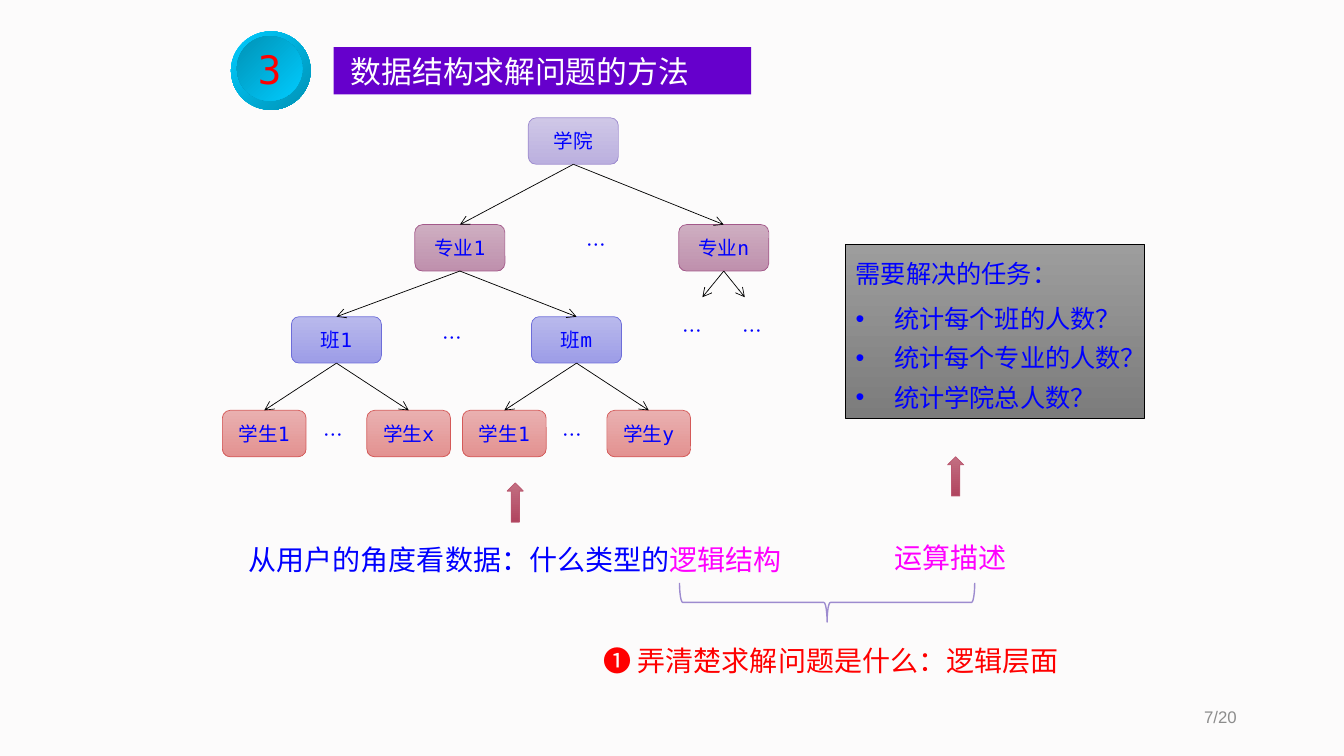
from pptx import Presentation
from pptx import util as u
from pptx.dml import color as dml
from pptx.enum import shapes, text
from pptx.oxml import ns
from lxml import etree

CJK, MONO = "Noto Sans CJK SC", "DejaVu Sans Mono"
COLORS = {
    "page": "FCFBFB", "banner": "6600CC", "white": "FFFFFF", "black": "000000",
    "blue": "0000FF", "red": "FF0000", "magenta": "FF00FF", "grey": "8C8C8C",
    "brace": "9D8BCF", "cyan": "00CCFF", "teal": "0092B6",
}
# Gradient start, gradient end and outline
GRADIENTS = {
    "college": ("CFC7E7", "BB B0DF".replace(" ", ""), "9D8BCF"),
    "major": ("CEAEC1", "BF90AD", "A3598A"),
    "class": ("B9B9EC", "9D9DE7", "6D6DD9"),
    "student": ("E9B0B0", "E39291", "D45958"),
    "task": ("9D9D9D", "7C7C7C", "000000"),
    "arrow": ("C36F82", "B0455F", "BB5971"),
    "rim": (COLORS["cyan"], COLORS["teal"], None),
    "dial": (COLORS["teal"], COLORS["cyan"], None),
}
LEFT, CENTER, RIGHT = text.PP_ALIGN.LEFT, text.PP_ALIGN.CENTER, text.PP_ALIGN.RIGHT
TOP, MIDDLE = text.MSO_ANCHOR.TOP, text.MSO_ANCHOR.MIDDLE


def write(box, lines, size, font=CJK, align=LEFT, anchor=TOP, **frame_format):
    """Each line is a list of (words, colour name) spans."""
    frame = box.text_frame
    frame_format = {"word_wrap": True, "auto_size": text.MSO_AUTO_SIZE.NONE,
                    "vertical_anchor": anchor, **frame_format}
    for name, value in frame_format.items():
        setattr(frame, name, value)
    for number, line in enumerate(lines):
        para = frame.add_paragraph() if number else frame.paragraphs[0]
        para.alignment = align
        for words, color in line:
            span = para.add_run()
            span.text = words
            for name, value in {"size": u.Pt(size), "name": font, "bold": False}.items():
                setattr(span.font, name, value)
            span.font.color.rgb = dml.RGBColor.from_string(COLORS[color])
            east = etree.SubElement(span.font._element, ns.qn("a:ea"))
            east.set("typeface", CJK)


def paint(shape, style, angle=270):
    start, end, outline = GRADIENTS[style]
    shape.fill.gradient()
    shape.fill.gradient_angle = angle
    for stop, value in zip(shape.fill.gradient_stops, (start, end)):
        stop.color.rgb = dml.RGBColor.from_string(value)
    for stop, position in zip(shape.fill.gradient_stops, (0, 1)):
        stop.position = position
    if outline:
        shape.line.color.rgb = dml.RGBColor.from_string(outline)
        shape.line.width = u.Pt(0.5)
    else:
        shape.line.fill.background()
    if not shape.is_placeholder:
        shape.shadow.inherit = False


deck = Presentation()
deck.slide_width, deck.slide_height = u.Cm(33.87), u.Cm(19.05)
page = deck.slides.add_slide(deck.slide_layouts[1])
page.background.fill.solid()
page.background.fill.fore_color.rgb = dml.RGBColor.from_string(COLORS["page"])
title, tasks = page.placeholders

# Title banner and task list
for holder, place in ((title, (8.41, 1.19, 10.52, 1.19)),
                      (tasks, (21.31, 6.15, 7.54, 4.39))):
    for name, value in zip(("left", "top", "width", "height"), place):
        setattr(holder, name, u.Cm(value))
title.fill.solid()
title.fill.fore_color.rgb = dml.RGBColor.from_string(COLORS["banner"])
write(title, [[("数据结构求解问题的方法", "white")]], 22, anchor=MIDDLE,
      margin_left=u.Cm(0.43), margin_top=0, margin_bottom=0)

paint(tasks, "task")
task_lines = ["需要解决的任务：", "统计每个班的人数？", "统计每个专业的人数？", "统计学院总人数？"]
write(tasks, [[(line, "blue")] for line in task_lines], 18)
for number, para in enumerate(tasks.text_frame.paragraphs):
    para_format = {"space_before": u.Pt(0), "line_spacing": 1.5 if number == 1 else u.Pt(28)}
    for name, value in para_format.items():
        setattr(para, name, value)
    indent = u.Cm(0.97) if number else 0
    props = para._p.get_or_add_pPr()
    props.set("marL", str(indent))
    props.set("indent", str(-indent))
    bullet = etree.SubElement(props, ns.qn("a:buChar" if number else "a:buNone"))
    if number:
        bullet.set("char", "•")

# Numbered dial
for style, place, angle in (("rim", (5.82, 0.79, 2.01, 1.98), 315),
                            ("dial", (5.97, 0.91, 1.65, 1.63), 315)):
    dial = page.shapes.add_shape(shapes.MSO_SHAPE.OVAL, *map(u.Cm, place))
    paint(dial, style, angle)
write(dial, [[("3", "red")]], 28, MONO, CENTER, MIDDLE, word_wrap=False)

# Tree nodes: label, level, centre, parent
LEVELS = {"college": (2.97, 2.27), "major": (5.66, 2.27),
          "class": (7.98, 2.27), "student": (10.34, 2.11)}
NODE_HEIGHT, STUDENT_OFFSET = 1.17, 1.82
CLASS_1, CLASS_M = 8.48, 14.53
tree = [
    ("学院", "college", 14.45, None),
    ("专业1", "major", 11.59, 0),
    ("专业n", "major", 18.24, 0),
    ("班1", "class", CLASS_1, 1),
    ("班m", "class", CLASS_M, 1),
    ("学生1", "student", CLASS_1 - STUDENT_OFFSET, 3),
    ("学生x", "student", CLASS_1 + STUDENT_OFFSET, 3),
    ("学生1", "student", CLASS_M - STUDENT_OFFSET, 4),
    ("学生y", "student", CLASS_M + STUDENT_OFFSET, 4),
]
nodes = []
for label, level, center, parent in tree:
    top, width = LEVELS[level]
    node = page.shapes.add_shape(shapes.MSO_SHAPE.ROUNDED_RECTANGLE, u.Cm(center - width / 2),
                                 u.Cm(top), u.Cm(width), u.Cm(NODE_HEIGHT))
    paint(node, level)
    write(node, [[(label, "blue")]], 14, MONO, CENTER, MIDDLE)
    nodes.append(node)

# Tree arrows; the last two end in open space
arrows = [(nodes[parent], node, (0, 0))
          for node, (*_, parent) in zip(nodes, tree) if parent is not None]
arrows += [(nodes[2], None, (x, 7.49)) for x in (17.7, 18.77)]
for source, target, end in arrows:
    arrow = page.shapes.add_connector(shapes.MSO_CONNECTOR.STRAIGHT, 0, 0, *map(u.Cm, end))
    arrow.begin_connect(source, 2)
    if target is not None:
        arrow.end_connect(target, 0)
    arrow.line.color.rgb = dml.RGBColor.from_string(COLORS["black"])
    arrow.line.width = u.Pt(0.5)
    head = etree.SubElement(arrow.line._get_or_add_ln(), ns.qn("a:tailEnd"))
    head.set("type", "arrow")
    etree.SubElement(arrow._element.spPr, ns.qn("a:effectLst"))

# Ellipses between the nodes
for left, top in ((7.9, 10.52), (13.92, 10.52), (10.9, 8.1),
                  (14.53, 5.74), (16.94, 7.92), (18.47, 7.92)):
    dots = page.shapes.add_textbox(u.Cm(left), u.Cm(top), u.Cm(1.07), u.Cm(0.86))
    write(dots, [[("…", "blue")]], 14)

# Captions and page number
captions = [
    ((6.02, 13.54, 14.48, 1.12),
     [("从用户的角度看数据：什么类型的", "blue"), ("逻辑结构", "magenta")], 20, CJK, LEFT, TOP),
    ((22.3, 13.49, 3.76, 1.12), [("运算描述", "magenta")], 20, CJK, LEFT, TOP),
    ((14.96, 16.08, 12.29, 1.12),
     [("❶ 弄清楚求解问题是什么：逻辑层面", "red")], 20, CJK, LEFT, TOP),
    ((23.93, 17.63, 7.49, 0.89), [("7/20", "grey")], 12, "Arial", RIGHT, MIDDLE),
]
for place, spans, *style in captions:
    caption = page.shapes.add_textbox(*map(u.Cm, place))
    write(caption, [spans], *style)

# Block arrows pointing up from the captions
for left, top in ((12.78, 12.17), (23.88, 11.51)):
    pointer = page.shapes.add_shape(shapes.MSO_SHAPE.UP_ARROW, u.Cm(left), u.Cm(top),
                                    u.Cm(0.41), u.Cm(0.99))
    paint(pointer, "arrow")

# Brace joining the two captions
brace = page.shapes.add_shape(shapes.MSO_SHAPE.LEFT_BRACE, u.Cm(20.35), u.Cm(11.46),
                              u.Cm(0.99), u.Cm(7.44))
brace.rotation = 270
brace.shadow.inherit = False
brace.fill.background()
brace.line.color.rgb = dml.RGBColor.from_string(COLORS["brace"])
brace.line.width = u.Pt(1)

deck.save("out.pptx")
